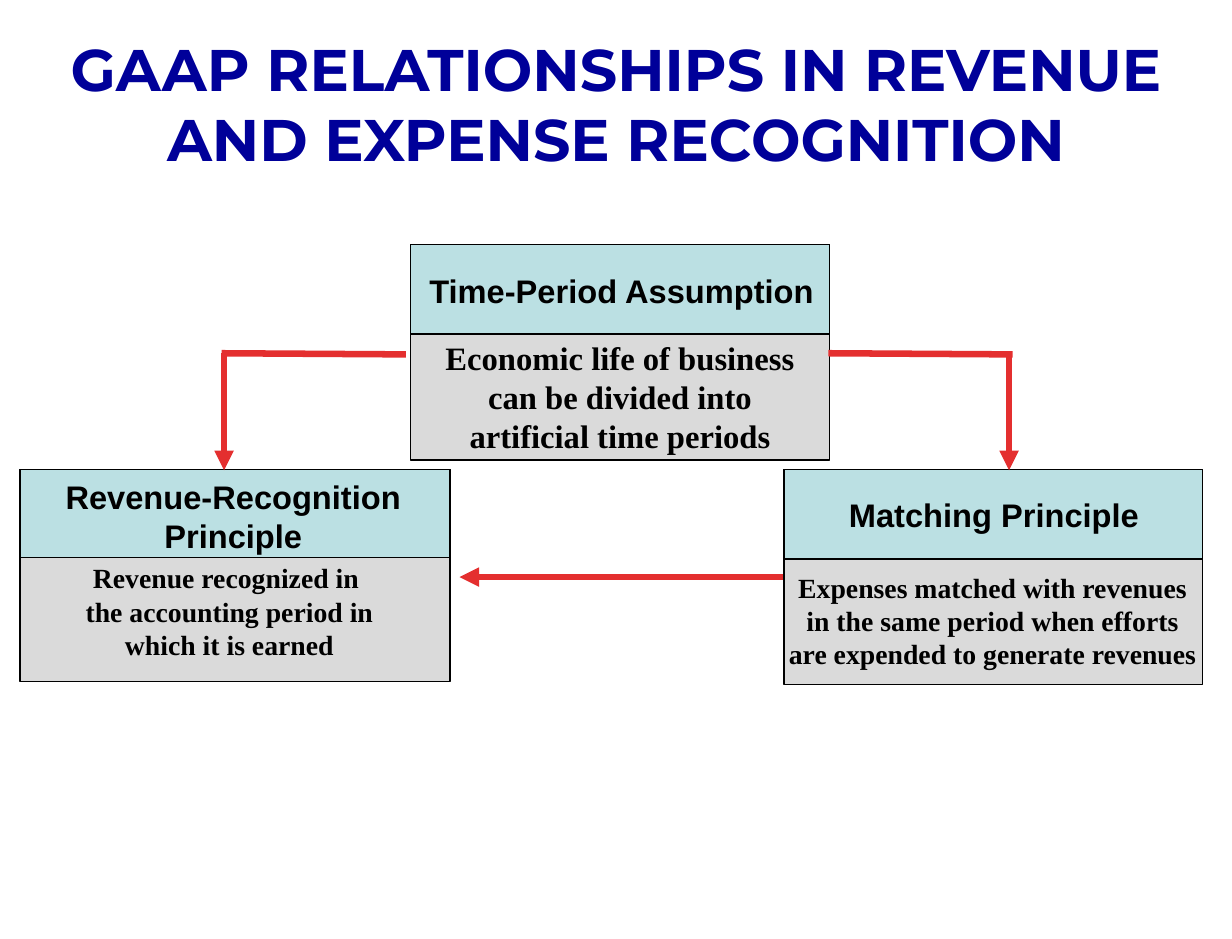
from dataclasses import dataclass

from lxml import etree
from pptx import Presentation
from pptx.dml.color import RGBColor
from pptx.enum.shapes import MSO_CONNECTOR, MSO_SHAPE
from pptx.enum.text import MSO_ANCHOR, MSO_AUTO_SIZE, PP_ALIGN
from pptx.oxml.ns import qn
from pptx.util import Pt

RECTANGLE = MSO_SHAPE.RECTANGLE
STRAIGHT = MSO_CONNECTOR.STRAIGHT
TOP = MSO_ANCHOR.TOP
NO_AUTOFIT = MSO_AUTO_SIZE.NONE
CENTER = PP_ALIGN.CENTER
TITLE_ONLY = 5


@dataclass(frozen=True)
class Theme:
    title_color: RGBColor = RGBColor(0x00, 0x00, 0x99)
    ink: RGBColor = RGBColor(0x00, 0x00, 0x00)
    header_fill: RGBColor = RGBColor(0xBB, 0xE0, 0xE3)
    body_fill: RGBColor = RGBColor(0xDA, 0xDA, 0xDA)
    arrow: RGBColor = RGBColor(0xE4, 0x2F, 0x2F)
    title_font: str = "Montserrat"
    heading_font: str = "Arial"
    body_font: str = "Times New Roman"
    title_size: float = 36
    heading_size: float = 20
    detail_size: float = 17
    border_width: float = 1
    arrow_width: float = 4


class Diagram:
    """Draws on one slide in one theme; every length is in points."""

    def __init__(self, slide, theme):
        self.slide = slide
        self.theme = theme

    def set_text(self, shape, lines, font, size, color, inset):
        frame = shape.text_frame
        frame_format = {
            "word_wrap": True,
            "auto_size": NO_AUTOFIT,
            "vertical_anchor": TOP,
            "margin_left": Pt(inset),
            "margin_right": Pt(inset),
            "margin_top": Pt(3.6),
            "margin_bottom": Pt(3.6),
        }
        for name, value in frame_format.items():
            setattr(frame, name, value)
        frame.text = "\n".join(lines)
        font_format = {"name": font, "size": Pt(size), "bold": True}
        for paragraph in frame.paragraphs:
            paragraph.alignment = CENTER
            for name, value in font_format.items():
                setattr(paragraph.font, name, value)
            paragraph.font.color.rgb = color

    def title(self, text, box):
        title = self.slide.shapes.title
        title.left, title.top, title.width, title.height = map(Pt, box)
        theme = self.theme
        self.set_text(title, [text], theme.title_font, theme.title_size,
                      theme.title_color, 7.2)

    def label(self, lines, box, font, size):
        label = self.slide.shapes.add_textbox(*map(Pt, box))
        self.set_text(label, lines, font, size, self.theme.ink, 7.9)

    def panel(self, box, fill):
        panel = self.slide.shapes.add_shape(RECTANGLE, *map(Pt, box))
        panel.shadow.inherit = False
        panel.fill.solid()
        panel.fill.fore_color.rgb = fill
        panel.line.color.rgb = self.theme.ink
        panel.line.width = Pt(self.theme.border_width)

    def card(self, box, header_height, heading, heading_box,
             details, details_box, details_size):
        theme = self.theme
        self.panel(box, theme.body_fill)
        self.panel((*box[:3], header_height), theme.header_fill)
        self.label([heading], heading_box, theme.heading_font, theme.heading_size)
        self.label(details, details_box, theme.body_font, details_size)

    def line(self, start, end, arrowhead=False):
        connector = self.slide.shapes.add_connector(STRAIGHT, *map(Pt, (*start, *end)))
        connector.line.color.rgb = self.theme.arrow
        connector.line.width = Pt(self.theme.arrow_width)
        properties = connector._element.spPr
        if arrowhead:
            etree.SubElement(properties.get_or_add_ln(), qn("a:tailEnd"), type="triangle")
        etree.SubElement(properties, qn("a:effectLst"))


def main():
    presentation = Presentation()
    presentation.slide_width = Pt(756)
    presentation.slide_height = Pt(576)
    slide = presentation.slides.add_slide(presentation.slide_layouts[TITLE_ONLY])
    theme = Theme()
    diagram = Diagram(slide, theme)

    diagram.title("GAAP RELATIONSHIPS IN REVENUE AND EXPENSE RECOGNITION",
                  (0, 16.5, 756, 93.6))
    diagram.line((511, 354), (282, 354), arrowhead=True)

    diagram.card(
        (252, 150, 257, 132), 55,
        "Time-Period Assumption", (253, 162.7, 257, 32),
        ["Economic life of business", "can be divided into", "artificial time periods"],
        (263.5, 203.8, 234, 79), theme.heading_size)
    diagram.card(
        (12.2, 288, 264, 130), 54,
        "Revenue-Recognition Principle", (18.7, 288.7, 249, 55),
        ["Revenue recognized in ", "the accounting period in", "which it is earned"],
        (23.8, 340.6, 234, 68.4), theme.detail_size)
    diagram.card(
        (481, 288, 257, 132), 55,
        "Matching Principle", (511, 300.2, 198, 32),
        ["Expenses matched with revenues",
         "in the same period when efforts are expended to generate revenues"],
        (473.8, 346.3, 270.7, 68.4), theme.detail_size)

    branch_top, branch_bottom = 216.7, 288.5
    for branch_left, branch_right, drop in ((508.3, 621.4, 619.2), (136, 249, 137.5)):
        diagram.line((branch_left, branch_top), (branch_right, branch_top + 0.7))
        diagram.line((drop, branch_top), (drop, branch_bottom), arrowhead=True)

    presentation.save("out.pptx")


if __name__ == "__main__":
    main()
